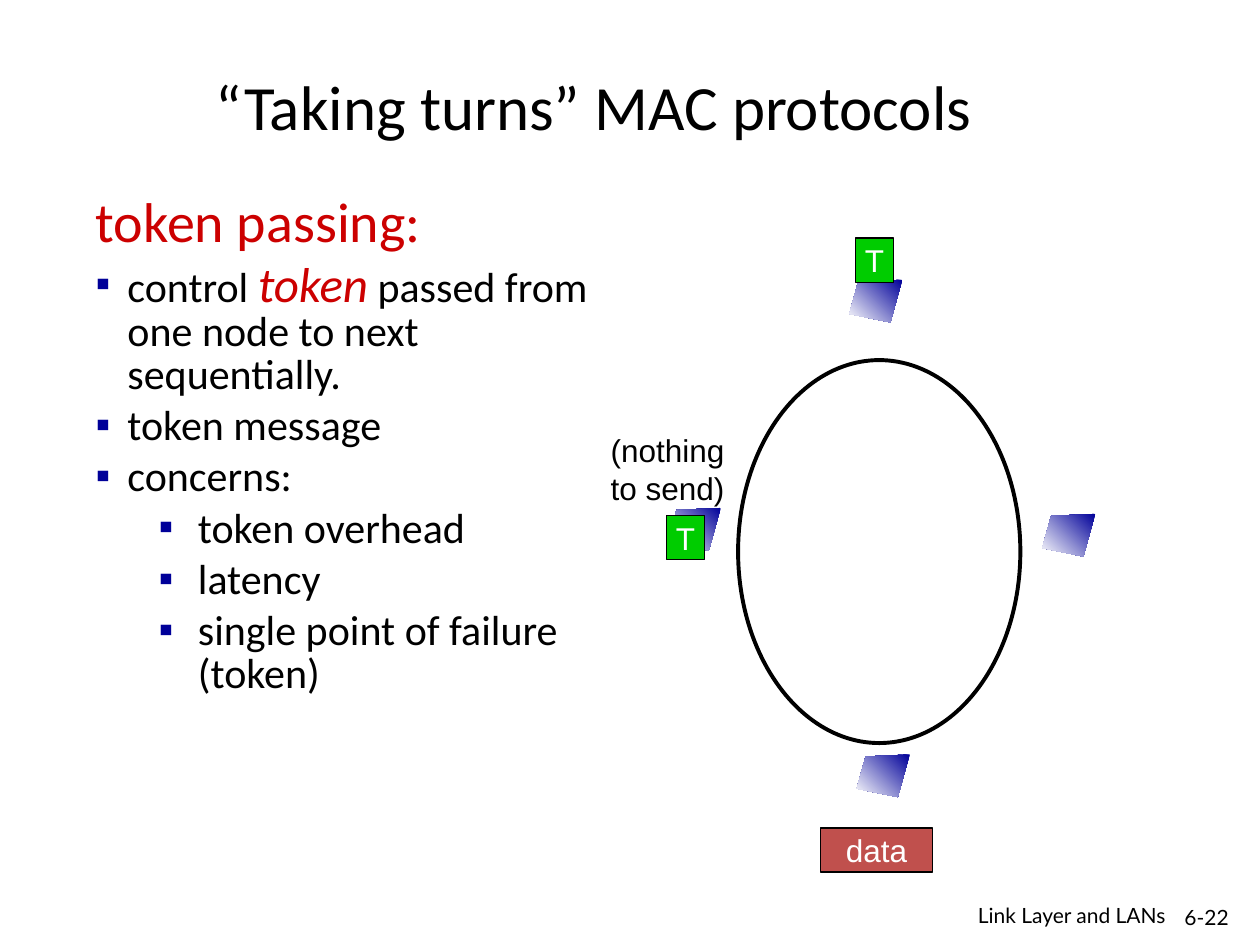
from lxml.etree import SubElement
from pptx import Presentation
from pptx.dml.color import RGBColor
from pptx.enum.shapes import MSO_SHAPE
from pptx.enum.text import MSO_ANCHOR, MSO_AUTO_SIZE, PP_ALIGN
from pptx.oxml.ns import qn
from pptx.util import Cm, Pt

BLACK, WHITE, RED, NAVY, GREEN, BRICK = "000000", "FFFFFF", "CC0000", "000099", "00CC00", "C0504D"
TITLE = {"name": "Calibri", "size": Pt(36)}
HEADING = {"name": "Calibri", "size": Pt(32), "color": RED}
BODY = {"name": "Calibri", "size": Pt(24)}
EMPHASIS = {"name": "Calibri", "size": Pt(28), "color": RED, "italic": True}
LABEL = {"name": "Arial", "size": Pt(18)}
FOOTER = {"name": "Lato", "size": Pt(12)}
BULLET = {"margin": 0.64, "hanging": 0.64}
SUB_BULLET = {"margin": 2.06, "hanging": 0.79}
NODE_OUTLINE = [(1.07, 0), (0.18, 0.04), (0, 0.69), (0.83, 0.86)]


def rgb(value):
    return RGBColor.from_string(value)


class SlideBuilder:
    """Draws styled elements, placed in centimetres, on one slide."""

    def __init__(self, slide):
        self.slide = slide

    def set_values(self, target, values):
        for name, value in values.items():
            if name == "color":
                target.color.rgb = rgb(value)
            else:
                setattr(target, name, value)

    def add_run(self, paragraph, text, style):
        run = paragraph.add_run()
        run.text = text
        self.set_values(run.font, {"color": BLACK, **style})

    def add_bullet(self, paragraph, margin, hanging):
        properties = paragraph._p.get_or_add_pPr()
        properties.set("marL", str(Cm(margin)))
        properties.set("indent", str(-Cm(hanging)))
        color = SubElement(properties, qn("a:buClr"))
        SubElement(color, qn("a:srgbClr"), val=NAVY)
        SubElement(properties, qn("a:buFont"), typeface="Arial")
        SubElement(properties, qn("a:buChar"), char="▪")

    def add_text(self, box, lines, style, align=PP_ALIGN.LEFT, **frame_values):
        shape = self.slide.shapes.add_textbox(*map(Cm, box))
        frame = shape.text_frame
        self.set_values(frame, {"word_wrap": True, **frame_values})
        for index, line in enumerate(lines):
            paragraph = frame.paragraphs[0] if index == 0 else frame.add_paragraph()
            paragraph.alignment = align
            self.add_run(paragraph, line, style)

    def add_outline(self, box, items):
        shape = self.slide.shapes.add_textbox(*map(Cm, box))
        frame = shape.text_frame
        frame.word_wrap = True
        for index, (bullet, runs) in enumerate(items):
            paragraph = frame.paragraphs[0] if index == 0 else frame.add_paragraph()
            if bullet:
                self.add_bullet(paragraph, **bullet)
            space = Pt(4.8) if index else Pt(0)
            self.set_values(paragraph, {"line_spacing": 0.85, "space_before": space})
            for text, style in runs:
                self.add_run(paragraph, text, style)

    def add_node(self, left, top):
        points = [(Cm(left + x), Cm(top + y)) for x, y in NODE_OUTLINE]
        builder = self.slide.shapes.build_freeform(*points[0])
        builder.add_line_segments(points[1:], close=True)
        shape = builder.convert_to_shape()
        shape.shadow.inherit = False
        shape.line.fill.background()
        shape.fill.gradient()
        shape.fill.gradient_angle = 225
        for stop, color, position in zip(shape.fill.gradient_stops, (NAVY, WHITE), (0, 1)):
            self.set_values(stop, {"color": color, "position": position})

    def add_shape(self, kind, box, line_width, fill=None, text=""):
        shape = self.slide.shapes.add_shape(kind, *map(Cm, box))
        shape.shadow.inherit = False
        self.set_values(shape.line, {"color": BLACK, "width": Pt(line_width)})
        if fill:
            shape.fill.solid()
            shape.fill.fore_color.rgb = rgb(fill)
        else:
            shape.fill.background()
        if text:
            frame = shape.text_frame
            self.set_values(frame, {"word_wrap": False, "vertical_anchor": MSO_ANCHOR.MIDDLE})
            frame.paragraphs[0].alignment = PP_ALIGN.CENTER
            self.add_run(frame.paragraphs[0], text, {**LABEL, "color": WHITE})

    def add_frame(self, left, top, width, fill, text):
        self.add_shape(MSO_SHAPE.RECTANGLE, (left, top, width, 0.89), 0.75, fill, text)


def main():
    presentation = Presentation()
    presentation.slide_width, presentation.slide_height = Cm(25.4), Cm(19.05)
    builder = SlideBuilder(presentation.slides.add_slide(presentation.slide_layouts[6]))

    for left, top in [(21.01, 10.36), (13.46, 10.24), (17.12, 5.64), (17.27, 15.21)]:
        builder.add_node(left, top)

    control = [("control ", BODY), ("token", EMPHASIS),
               (" passed from one node to next sequentially.", BODY)]
    points = ["token message", "concerns:"]
    concerns = ["token overhead", "latency", "single point of failure (token)"]
    builder.add_outline((1.68, 3.84, 10.44, 12.9), [
        (None, [("token passing:", HEADING)]),
        (BULLET, control),
        *[(BULLET, [(text, BODY)]) for text in points],
        *[(SUB_BULLET, [(text, BODY)]) for text in concerns],
    ])

    builder.add_shape(MSO_SHAPE.OVAL, (14.88, 7.26, 5.69, 7.72), 2.25)
    builder.add_frame(17.25, 4.8, 0.76, GREEN, "T")
    builder.add_frame(16.54, 16.69, 2.26, BRICK, "data")
    builder.add_text((12.06, 8.56, 2.82, 1.78), ["(nothing", "to send)"], LABEL,
                     word_wrap=False, auto_size=MSO_AUTO_SIZE.SHAPE_TO_FIT_TEXT)
    builder.add_frame(13.44, 10.39, 0.76, GREEN, "T")

    middle = MSO_ANCHOR.MIDDLE
    builder.add_text((1.17, 0.53, 21.59, 3.18), ["“Taking turns” MAC protocols"], TITLE,
                     PP_ALIGN.CENTER, vertical_anchor=middle)
    builder.add_text((23.5, 18.11, 1.52, 0.76), ["6-22"], FOOTER,
                     PP_ALIGN.RIGHT, vertical_anchor=middle)
    builder.add_text((17.7, 18.11, 6.05, 0.66), ["Link Layer and LANs"], FOOTER,
                     PP_ALIGN.RIGHT, vertical_anchor=middle)
    presentation.save("out.pptx")


if __name__ == "__main__":
    main()
